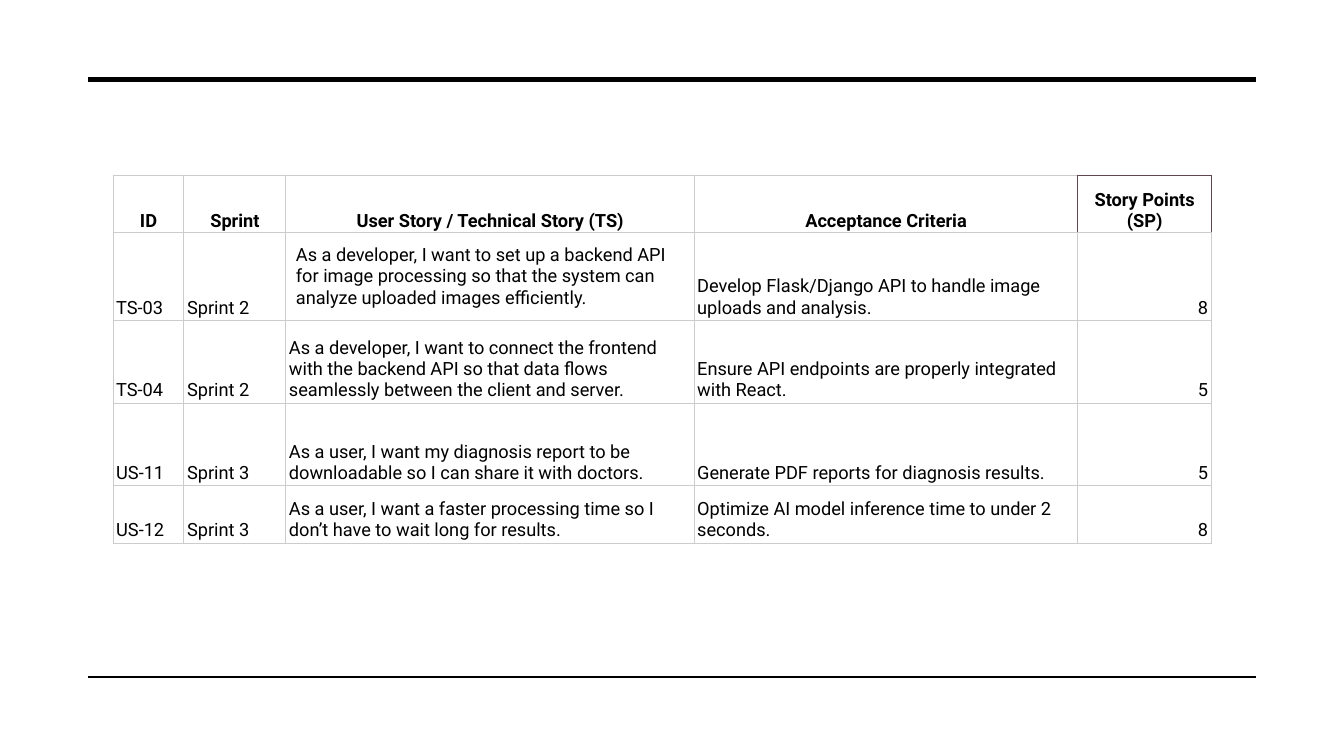
from lxml.etree import SubElement
from pptx import Presentation
from pptx.dml.color import RGBColor
from pptx.enum.shapes import MSO_CONNECTOR as Connector
from pptx.enum.text import MSO_ANCHOR as Anchor, PP_ALIGN as Align
from pptx.oxml.ns import qn
from pptx.util import Pt

BLACK = RGBColor(0x00, 0x00, 0x00)
GRID = RGBColor(0xCC, 0xCC, 0xCC)
ACCENT = RGBColor(0x60, 0x48, 0x53)

COLUMN_WIDTHS = [50.6, 72.8, 291.6, 274.2, 95.2]
ROW_HEIGHTS = [41, 62.7, 59, 59, 41]
HEADER_INSETS = (0.75, 0.75, 0.75, 0.75)
POINTS_HEADER_INSETS = (0, 0.75, 0, 0.75)
BODY_INSETS = (2.25, 1.5, 2.25, 1.5)
WIDE_INSETS = (7.2, 3.6, 7.2, 3.6)

STORIES = [
    ["ID", "Sprint", "User Story / Technical Story (TS)", "Acceptance Criteria",
     "Story Points (SP)"],
    ["TS-03", "Sprint 2",
     "As a developer, I want to set up a backend API for image processing so that "
     "the system can analyze uploaded images efficiently.",
     "Develop Flask/Django API to handle image uploads and analysis.", "8"],
    ["TS-04", "Sprint 2",
     "As a developer, I want to connect the frontend with the backend API so that "
     "data flows seamlessly between the client and server.",
     "Ensure API endpoints are properly integrated with React.", "5"],
    ["US-11", "Sprint 3",
     "As a user, I want my diagnosis report to be downloadable so I can share it "
     "with doctors.",
     "Generate PDF reports for diagnosis results.", "5"],
    ["US-12", "Sprint 3",
     "As a user, I want a faster processing time so I don’t have to wait long for "
     "results.",
     "Optimize AI model inference time to under 2 seconds.", "8"],
]


def add_rule(slide, left, top, width, weight):
    """Draw one horizontal black rule."""
    rule = slide.shapes.add_connector(
        Connector.STRAIGHT, Pt(left), Pt(top), Pt(left + width), Pt(top))
    rule.line.color.rgb = BLACK
    rule.line.width = Pt(weight)
    SubElement(rule._element.spPr, qn("a:effectLst"))


def add_frame(slide, left, top, width, height):
    """Draw the heavy top rule and the thin bottom rule of the page."""
    add_rule(slide, left, top, width, 3.5)
    add_rule(slide, left, top + height, width, 1)


def set_borders(cell, left, right, top, bottom):
    """Give each side of a cell a thin line in its own colour."""
    properties = cell._tc.get_or_add_tcPr()
    for side, color in zip("LRTB", (left, right, top, bottom)):
        line = SubElement(properties, qn(f"a:ln{side}"), w=str(Pt(0.75)))
        fill = SubElement(line, qn("a:solidFill"))
        SubElement(fill, qn("a:srgbClr"), val=str(color))


def fill_cell(cell, text, bold, align, anchor, insets):
    """Write the text of a cell and set its margins."""
    cell.fill.background()
    cell.vertical_anchor = anchor
    (cell.margin_left, cell.margin_top,
     cell.margin_right, cell.margin_bottom) = map(Pt, insets)
    paragraph = cell.text_frame.paragraphs[0]
    paragraph.alignment = align
    run = paragraph.add_run()
    run.text = text
    run.font.name = "Roboto"
    run.font.size = Pt(13)
    run.font.bold = bold
    run.font.color.rgb = BLACK


def add_story_table(slide, left, top):
    """Build the table of sprint stories from its top left corner."""
    table = slide.shapes.add_table(
        len(ROW_HEIGHTS), len(COLUMN_WIDTHS), Pt(left), Pt(top),
        Pt(sum(COLUMN_WIDTHS)), Pt(sum(ROW_HEIGHTS))).table
    table.first_row = table.horz_banding = False
    for column, width in zip(table.columns, COLUMN_WIDTHS):
        column.width = Pt(width)
    for row, height in zip(table.rows, ROW_HEIGHTS):
        row.height = Pt(height)

    points_column = len(COLUMN_WIDTHS) - 1
    for row_index, story in enumerate(STORIES):
        header = row_index == 0
        for column_index, text in enumerate(story):
            cell = table.cell(row_index, column_index)
            points = column_index == points_column
            align, anchor, insets = Align.LEFT, Anchor.BOTTOM, BODY_INSETS
            if header:
                align = Align.CENTER
                insets = POINTS_HEADER_INSETS if points else HEADER_INSETS
            elif points:
                align = Align.RIGHT
            elif (row_index, column_index) == (1, 2):
                anchor, insets = Anchor.MIDDLE, WIDE_INSETS
            edge = ACCENT if header and points else GRID
            before_points = header and column_index == points_column - 1
            set_borders(cell, edge, ACCENT if before_points else edge, edge, GRID)
            fill_cell(cell, text, header, align, anchor, insets)


def main():
    """Build the sprint stories slide and save it."""
    presentation = Presentation()
    presentation.slide_width, presentation.slide_height = Pt(960), Pt(540)
    slide = presentation.slides.add_slide(presentation.slide_layouts[6])
    add_frame(slide, 63, 56.7, 834, 427)
    add_story_table(slide, 80.8, 125.3)
    presentation.save("out.pptx")


if __name__ == "__main__":
    main()
